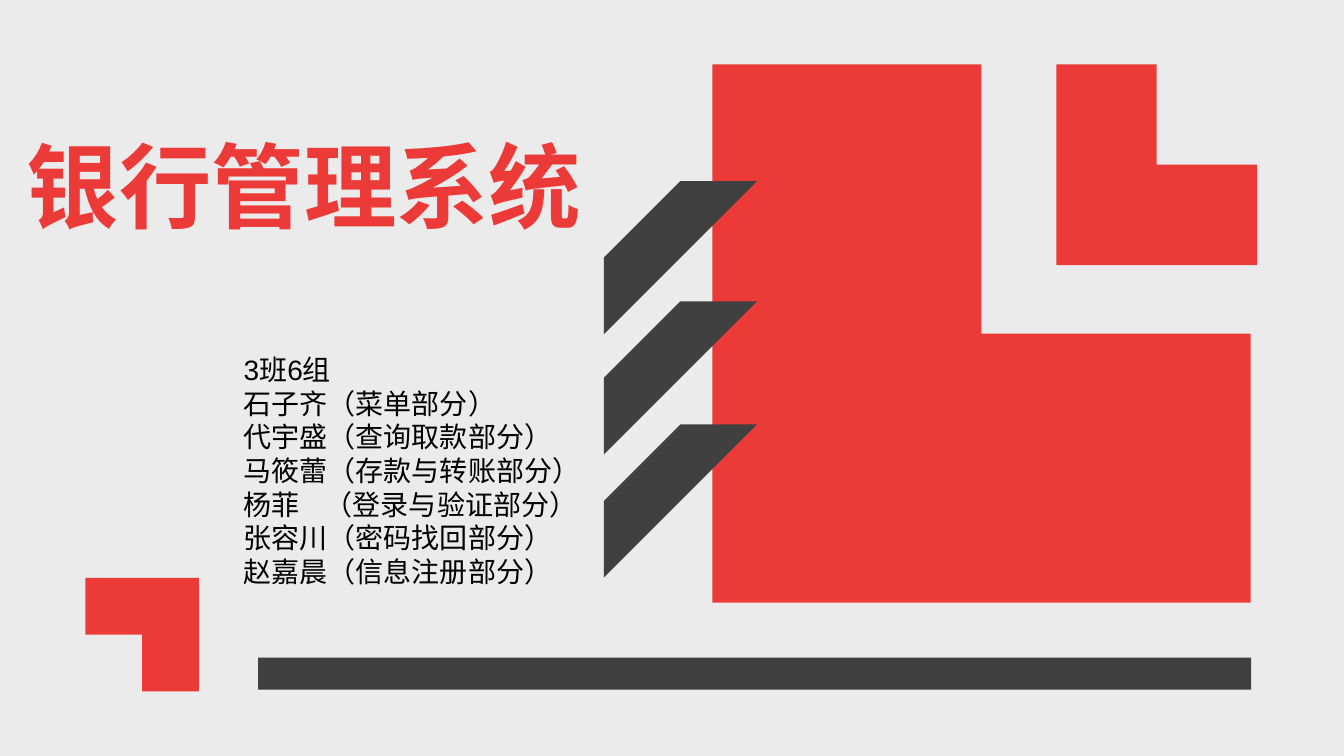
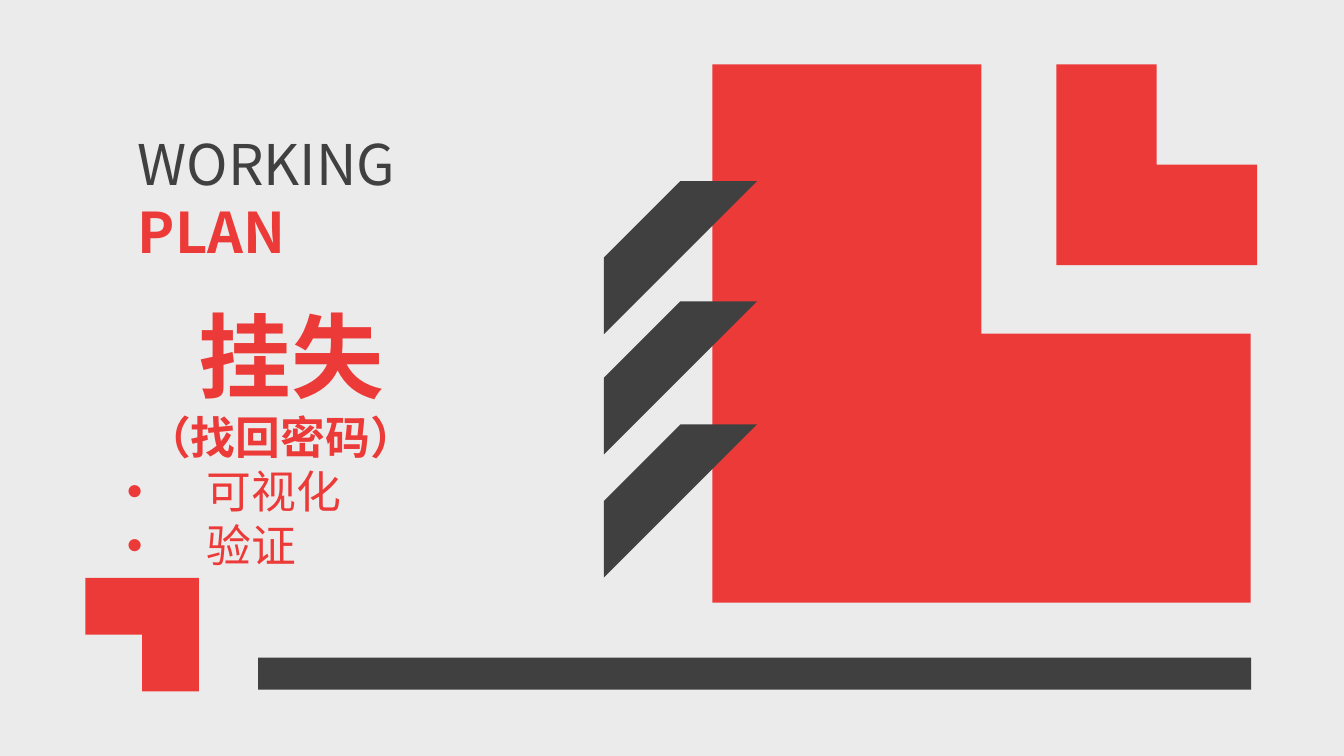
from typing import NamedTuple

from lxml import etree
from pptx import Presentation
from pptx.dml.color import RGBColor
from pptx.enum import shapes, text
from pptx.oxml import ns
from pptx.util import Pt

RED, DARK, BLACK, PALE = "EC3A38", "404040", "000000", "EBEBEB"
SANS, LATIN = "Noto Sans CJK SC", "Arial"
LEAD = 1.2
KIND = shapes.MSO_SHAPE
ALIGN = text.PP_ALIGN


class Area(NamedTuple):
    left: float
    top: float
    width: float
    height: float


class Block(NamedTuple):
    kind: KIND
    area: Area
    fill: str
    turn: int = 0


STRIPES = [Block(KIND.DIAGONAL_STRIPE, Area(431.3, top, 109.5, 109.5), DARK)
           for top in (129.3, 215.2, 303.1)]
DECOR = [
    Block(KIND.CORNER, Area(508.8, 46, 384.5, 384.5), RED),
    *STRIPES,
    Block(KIND.CORNER, Area(61, 412.8, 81, 81), RED, 180),
    Block(KIND.CORNER, Area(754.6, 46, 143.3, 143.3), RED),
    Block(KIND.RECTANGLE, Area(184.3, 469.7, 709.3, 23), DARK),
]

TEAM = ["3班6组", "石子齐（菜单部分）", "代宇盛（查询取款部分）",
        "马筱蕾（存款与转账部分）", "杨菲\t（登录与验证部分）",
        "张容川（密码找回部分）", "赵嘉晨（信息注册部分）"]


def color(code: str) -> RGBColor:
    return RGBColor.from_string(code)


def draw(slide, block: Block) -> None:
    shape = slide.shapes.add_shape(block.kind, *map(Pt, block.area))
    shape.shadow.inherit = False
    shape.fill.solid()
    shape.fill.fore_color.rgb = color(block.fill)
    shape.line.fill.background()
    shape.rotation = block.turn


def start(deck):
    """Add a blank slide with the shared background and decoration."""
    slide = deck.slides.add_slide(deck.slide_layouts[6])
    slide.background.fill.solid()
    slide.background.fill.fore_color.rgb = color(PALE)
    for block in DECOR:
        draw(slide, block)
    return slide


def frame(slide, area: Area):
    box = slide.shapes.add_textbox(*map(Pt, area)).text_frame
    box.word_wrap = True
    return box


def write(box, words: str, *, size: float, fill: str = RED, font: str = SANS,
          bold: bool = False, align: ALIGN = ALIGN.LEFT, indent: float = 0,
          bullet: str = "", tab: float = 0) -> None:
    """Add one paragraph, using the first one while it is still empty."""
    para = box.paragraphs[0]
    if para.runs:
        para = box.add_paragraph()
    props = para._p.get_or_add_pPr()
    if indent:
        props.set("marL", str(Pt(indent)))
    if bullet:
        props.set("indent", str(-Pt(indent)))
        etree.SubElement(props, ns.qn("a:buFont"), typeface=LATIN)
        etree.SubElement(props, ns.qn("a:buChar"), char=bullet)
    if tab:
        stops = etree.SubElement(props, ns.qn("a:tabLst"))
        etree.SubElement(stops, ns.qn("a:tab"), pos=str(Pt(tab)), algn="l")
    para.alignment = align
    para.line_spacing = Pt(size * LEAD)
    run = para.add_run()
    run.text = words
    run.font.size = Pt(size)
    run.font.bold = bold
    run.font.name = font
    run.font.color.rgb = color(fill)
    etree.SubElement(run.font._element, ns.qn("a:ea"), typeface=SANS)


def cover(deck) -> None:
    slide = start(deck)
    title = frame(slide, Area(12.2, 88.6, 472.3, 87.1))
    write(title, "银行管理系统", size=66, bold=True, align=ALIGN.JUSTIFY)
    team = frame(slide, Area(167, 248.4, 472.3, 177))
    for name in TEAM:
        write(team, name, size=20, fill=BLACK, font=LATIN,
              tab=58 if "\t" in name else 0)


def loss(deck) -> None:
    slide = start(deck)
    head = frame(slide, Area(91.4, 89.3, 241.2, 104.4))
    write(head, "WORKING", size=40, fill=DARK)
    write(head, "PLAN", size=40, bold=True)
    body = frame(slide, Area(83.5, 210.2, 234, 242.6))
    write(body, "挂失", size=66, bold=True, align=ALIGN.CENTER, indent=15)
    write(body, "（找回密码）", size=32, bold=True, align=ALIGN.CENTER)
    for item in ("可视化", "验证"):
        write(body, item, size=32, indent=57, bullet="•")


def main() -> None:
    deck = Presentation()
    deck.slide_width, deck.slide_height = Pt(960), Pt(540)
    cover(deck)
    loss(deck)
    deck.save("out.pptx")


if __name__ == "__main__":
    main()
